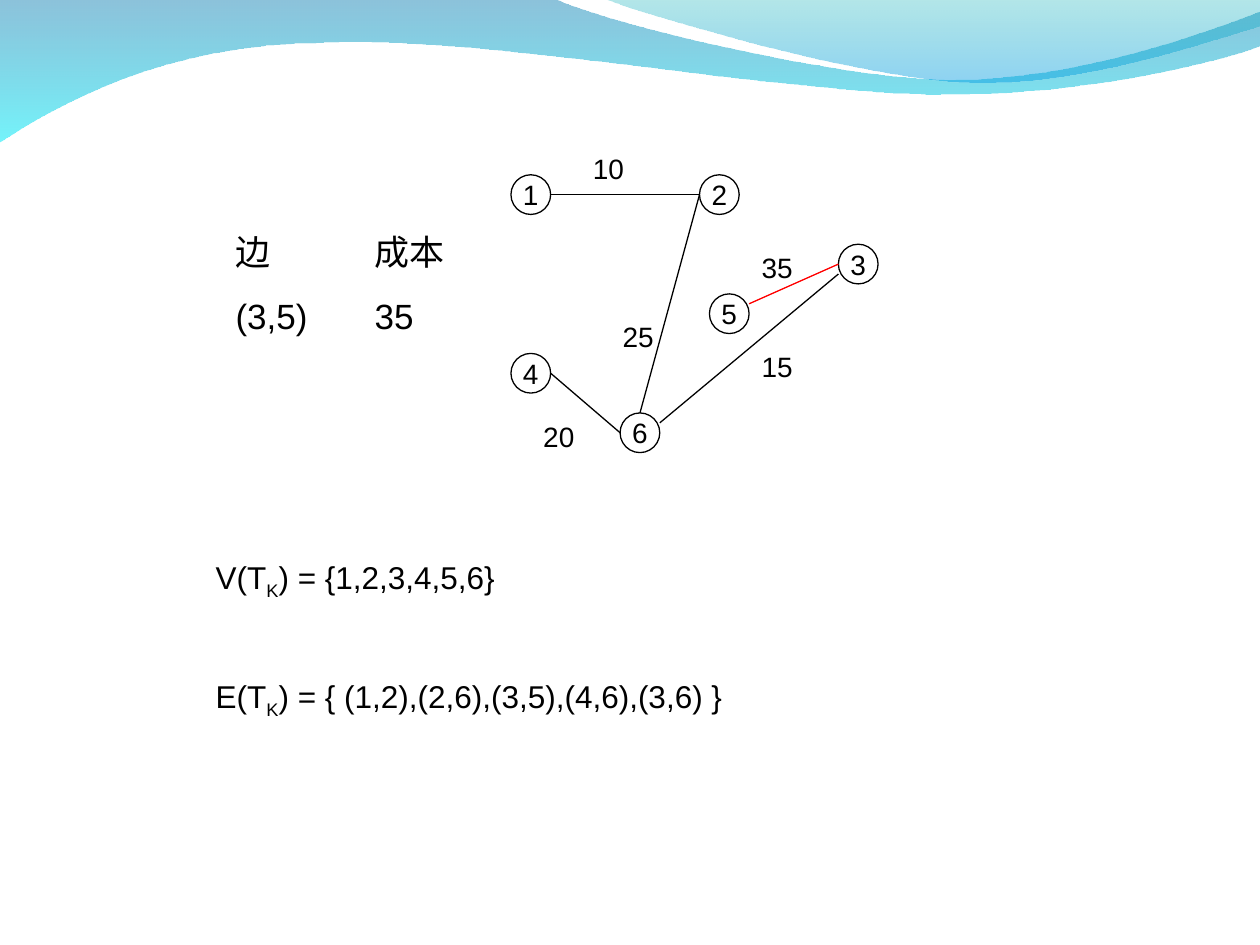
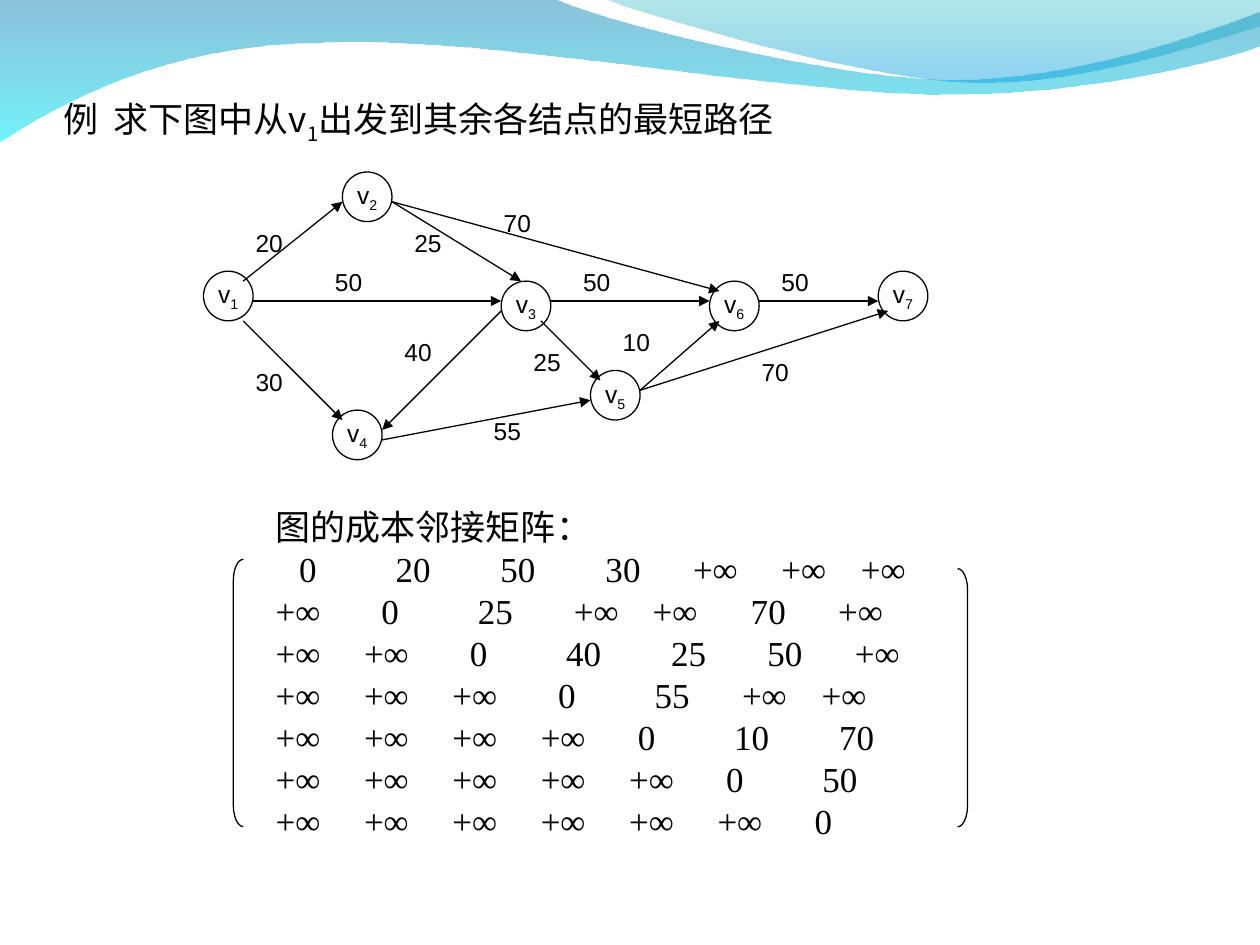
from lxml.etree import SubElement
from pptx import Presentation
from pptx.dml.color import RGBColor
from pptx.enum.shapes import MSO_CONNECTOR, MSO_SHAPE
from pptx.enum.text import MSO_ANCHOR, MSO_AUTO_SIZE, PP_ALIGN
from pptx.oxml.ns import qn
from pptx.util import Pt

BLACK = RGBColor(0, 0, 0)
RED = RGBColor(255, 0, 0)
DEEP_BLUE = RGBColor(0x00, 0x79, 0xAF)
CYAN = RGBColor(0x00, 0xEB, 0xF8)
TEAL = RGBColor(0x00, 0xAD, 0xB6)
SKY_BLUE = RGBColor(0x00, 0x9B, 0xE5)
SANS = "Arial"
SERIF = "Times New Roman"
TITLE_FONT = "Noto Sans CJK SC"

GRID = 5.67  # points per grid step of both graphs
LINE_WIDTH = Pt(0.75)
TITLE_ONLY, BLANK = 5, 6

# Each wave is a start point and segments: 2 numbers for a line, 6 for a curve.
LOWER_WAVE = [
    (0, -0.7), (316.8, -0.7),
    (342.7, 12.2, 478.1, 45.4, 545.8, 45.4),
    (614.2, 45.4, 689.8, 18.7, 720, 6.5),
    (720.7, 25.9),
    (707.8, 31.7, 626.4, 54.7, 537.1, 54),
    (447.8, 54, 275, 20.2, 185, 24.5),
    (92.9, 25.2, 33.1, 59.8, -0.7, 81.4),
]
UPPER_WAVE = [
    (344.9, -0.7),
    (366.5, 7.9, 491, 44.6, 553.7, 46.8),
    (616.3, 49.7, 691.9, 23, 720, 15.1),
    (720, 0),
]

INFINITE = "+∞"
MATRIX = [
    [0, 20, 50, 30, INFINITE, INFINITE, INFINITE],
    [INFINITE, 0, 25, INFINITE, INFINITE, 70, INFINITE],
    [INFINITE, INFINITE, 0, 40, 25, 50, INFINITE],
    [INFINITE, INFINITE, INFINITE, 0, 55, INFINITE, INFINITE],
    [INFINITE, INFINITE, INFINITE, INFINITE, 0, 10, 70],
    [INFINITE, INFINITE, INFINITE, INFINITE, INFINITE, 0, 50],
    [INFINITE] * 6 + [0],
]
# Start of every entry in its row, from the left edge of the text.
MATRIX_STOPS = [
    [13.5, 68.5, 128.5, 188.5, 238.5, 289, 334.5],
    [0, 60.5, 115.5, 170.5, 215.5, 271.5, 321.5],
    [0, 50.5, 111, 166, 226, 281, 331],
    [0, 50.5, 101, 161.5, 216.5, 266.5, 312],
    [0, 50.5, 101, 151.5, 207, 262, 322],
    [0, 50.5, 101, 151.5, 202, 257.5, 312.5],
    [0, 50.5, 101, 151.5, 202, 252.5, 308],
]


def write_runs(paragraph, parts, size, font_name=SANS):
    """Add the parts as runs; every second part is a subscript."""
    for index, part in enumerate(parts):
        run = paragraph.add_run()
        run.text = part
        run.font.size = Pt(size)
        run.font.name = font_name
        run.font.bold = False
        run.font.color.rgb = BLACK
        if index % 2:
            run._r.get_or_add_rPr().set("baseline", "-25000")


def add_tab_stops(paragraph, positions):
    tab_list = SubElement(paragraph._p.get_or_add_pPr(), qn("a:tabLst"))
    for position in positions:
        SubElement(tab_list, qn("a:tab"), pos=str(Pt(position)), algn="l")


def add_text(slide, left, top, width, height, parts, size):
    """Add a wrapping text box and return its text frame."""
    box = slide.shapes.add_textbox(Pt(left), Pt(top), Pt(width), Pt(height))
    box.text_frame.word_wrap = True
    write_runs(box.text_frame.paragraphs[0], parts, size)
    return box.text_frame


def bend_segments(freeform, segments):
    """Turn the three lines of each six-number segment into one curve."""
    lines = iter(freeform.element.xpath(".//a:path/a:lnTo"))
    for segment in segments:
        group = [next(lines) for _ in range(len(segment) // 2)]
        if len(group) == 3:
            curve = SubElement(group[0].getparent(), qn("a:cubicBezTo"))
            group[0].addprevious(curve)
            for line in group:
                curve.append(line[0])
                line.getparent().remove(line)


def add_wave(slide, outline, stops):
    start, *segments = outline
    points = [
        (Pt(segment[index]), Pt(segment[index + 1]))
        for segment in segments
        for index in range(0, len(segment), 2)
    ]
    builder = slide.shapes.build_freeform(Pt(start[0]), Pt(start[1]))
    builder.add_line_segments(points, close=True)
    wave = builder.convert_to_shape()
    bend_segments(wave, segments)
    wave.shadow.inherit = False
    wave.line.fill.background()
    wave.fill.gradient()
    wave.fill.gradient_angle = 270
    for position, (stop, (color, _)) in enumerate(zip(wave.fill.gradient_stops, stops)):
        stop.position = position
        stop.color.rgb = color
    for color_element, (_, opacity) in zip(wave.element.xpath(".//a:gs/a:srgbClr"), stops):
        SubElement(color_element, qn("a:alpha"), val=str(opacity * 1000))
    return wave


def add_master_waves(presentation, slide):
    """Draw the waves once and move them behind everything on the master."""
    waves = [
        add_wave(slide, LOWER_WAVE, [(DEEP_BLUE, 45), (CYAN, 55)]),
        add_wave(slide, UPPER_WAVE, [(TEAL, 30), (SKY_BLUE, 45)]),
    ]
    master_tree = presentation.slide_master.shapes.element
    for index, wave in enumerate(waves):
        wave.element.xpath(".//p:cNvPr")[0].set("id", str(100 + index))
        master_tree.insert(2 + index, wave.element)


def style_outline(shape):
    shape.shadow.inherit = False
    shape.fill.background()
    shape.line.color.rgb = BLACK
    shape.line.width = LINE_WIDTH


def add_node(slide, left, top, diameter, parts, size):
    node = slide.shapes.add_shape(
        MSO_SHAPE.OVAL, Pt(left), Pt(top), Pt(diameter), Pt(diameter))
    style_outline(node)
    frame = node.text_frame
    frame.word_wrap = False
    frame.vertical_anchor = MSO_ANCHOR.MIDDLE
    frame.paragraphs[0].alignment = PP_ALIGN.CENTER
    write_runs(frame.paragraphs[0], parts, size)


def add_edge(slide, start, end, color, arrow):
    edge = slide.shapes.add_connector(
        MSO_CONNECTOR.STRAIGHT, *(Pt(value) for value in start + end))
    edge.line.color.rgb = color
    edge.line.width = LINE_WIDTH
    if arrow:
        SubElement(edge.line._get_or_add_ln(), qn("a:tailEnd"), type="triangle")
    SubElement(edge.element.spPr, qn("a:effectLst"))


def add_graph(slide, left, top, nodes, edges, costs, node_steps, size, arrows=False):
    """Draw a graph whose positions are grid steps from (left, top)."""
    def place(column, row):
        return left + column * GRID, top + row * GRID

    for parts, column, row in nodes:
        add_node(slide, *place(column, row), node_steps * GRID, parts, size)
    for start, end, *color in edges:
        add_edge(slide, place(*start), place(*end), color[0] if color else BLACK, arrows)
    for cost, column, row in costs:
        add_text(slide, *place(column, row), size * 2.45, size * 1.7, [str(cost)], size)


def add_edge_column(slide, left, top, heading, value):
    """Add a heading with the value of the chosen edge below it."""
    frame = add_text(slide, left, top, 57, 67.7, [heading], 20)
    frame.paragraphs[0].line_spacing = Pt(23.8)
    paragraph = frame.add_paragraph()
    paragraph.space_before = Pt(12.5)
    write_runs(paragraph, [value], 20)


def add_title(slide, left, top, width, height):
    title = slide.shapes.title
    title.left, title.top, title.width, title.height = map(Pt, (left, top, width, height))
    frame = title.text_frame
    frame.auto_size = MSO_AUTO_SIZE.NONE
    frame.vertical_anchor = MSO_ANCHOR.BOTTOM
    frame.margin_left = frame.margin_right = frame.margin_bottom = 0
    frame.margin_top = Pt(3.6)
    paragraph = frame.paragraphs[0]
    paragraph.alignment = PP_ALIGN.LEFT
    add_tab_stops(paragraph, [28.8])
    write_runs(paragraph, ["例\t求下图中从v", "1", "出发到其余各结点的最短路径"], 20, TITLE_FONT)


def add_bracket(slide, kind, left, top, height):
    bracket = slide.shapes.add_shape(kind, Pt(left), Pt(top), Pt(5.7), Pt(height))
    bracket.adjustments[0] = 2.15
    style_outline(bracket)


def add_cost_matrix(slide, left, top):
    frame = add_text(slide, left, top, 408, 198.7, [], 20)
    heading = frame.paragraphs[0]
    heading.line_spacing = Pt(24.4)
    write_runs(heading, ["图的成本邻接矩阵："], 20, SERIF)
    for row, stops in zip(MATRIX, MATRIX_STOPS):
        paragraph = frame.add_paragraph()
        paragraph.line_spacing = Pt(24)
        add_tab_stops(paragraph, [stop for stop in stops if stop])
        indent = "\t" if stops[0] else ""
        write_runs(paragraph, [indent + "\t".join(map(str, row))], 20, SERIF)
    add_bracket(slide, MSO_SHAPE.LEFT_BRACKET, left - 17.1, top + 34.5, 152.8)
    add_bracket(slide, MSO_SHAPE.RIGHT_BRACKET, left + 396.8, top + 39.8, 147.6)


def build_spanning_tree_slide(slide):
    add_graph(
        slide, 292, 99.9,
        nodes=[("1", 0, 0), ("4", 0, 18), ("6", 11, 24),
               ("2", 19, 0), ("5", 20, 12), ("3", 33, 7)],
        edges=[((4, 2), (19, 2)), ((4, 20), (11, 26)), ((19, 2), (13, 24)),
               ((24, 13), (33, 9), RED), ((15, 25), (33, 10))],
        costs=[(10, 7, -3), (20, 2, 24), (25, 10, 14), (15, 24, 17), (35, 24, 7)],
        node_steps=4, size=16)
    add_edge_column(slide, 127.5, 128.2, "边", "(3,5)")
    add_edge_column(slide, 207, 128.2, "成本", "35")
    add_text(slide, 116.2, 315.4, 380, 31.7, ["V(T", "K", ") = {1,2,3,4,5,6}"], 18)
    add_text(slide, 116.2, 383.3, 470, 31.7,
             ["E(T", "K", ") = { (1,2),(2,6),(3,5),(4,6),(3,6) }"], 18)


def build_shortest_path_slide(slide):
    add_title(slide, 36, 45.1, 648, 38.2)
    positions = [(0, 10), (14, 0), (30, 11), (13, 24), (39, 20), (51, 11), (68, 10)]
    add_graph(
        slide, 116.3, 98.3,
        nodes=[(("v", str(number)), *position)
               for number, position in enumerate(positions, start=1)],
        edges=[((4, 11), (14, 3)), ((4, 15), (14, 25)), ((5, 13), (30, 13)),
               ((19, 3), (32, 11)), ((30, 14), (18, 26)), ((18, 27), (39, 23)),
               ((35, 13), (51, 13)), ((44, 22), (52, 15)), ((56, 13), (68, 13)),
               ((44, 22), (69, 14)), ((19, 3), (52, 12)), ((34, 15), (40, 21))],
        costs=[(20, 4, 5), (50, 12, 9), (25, 20, 5), (70, 29, 3), (50, 57, 9),
               (70, 55, 18), (10, 41, 15), (50, 37, 9), (55, 28, 24), (40, 19, 16),
               (30, 4, 19), (25, 32, 17)],
        node_steps=5, size=14, arrows=True)
    add_cost_matrix(slide, 150.4, 285.1)


def main():
    presentation = Presentation()
    presentation.slide_width, presentation.slide_height = Pt(720), Pt(540)
    layouts = presentation.slide_layouts
    tree_slide = presentation.slides.add_slide(layouts[BLANK])
    add_master_waves(presentation, tree_slide)
    build_spanning_tree_slide(tree_slide)
    build_shortest_path_slide(presentation.slides.add_slide(layouts[TITLE_ONLY]))
    presentation.save("out.pptx")


if __name__ == "__main__":
    main()
